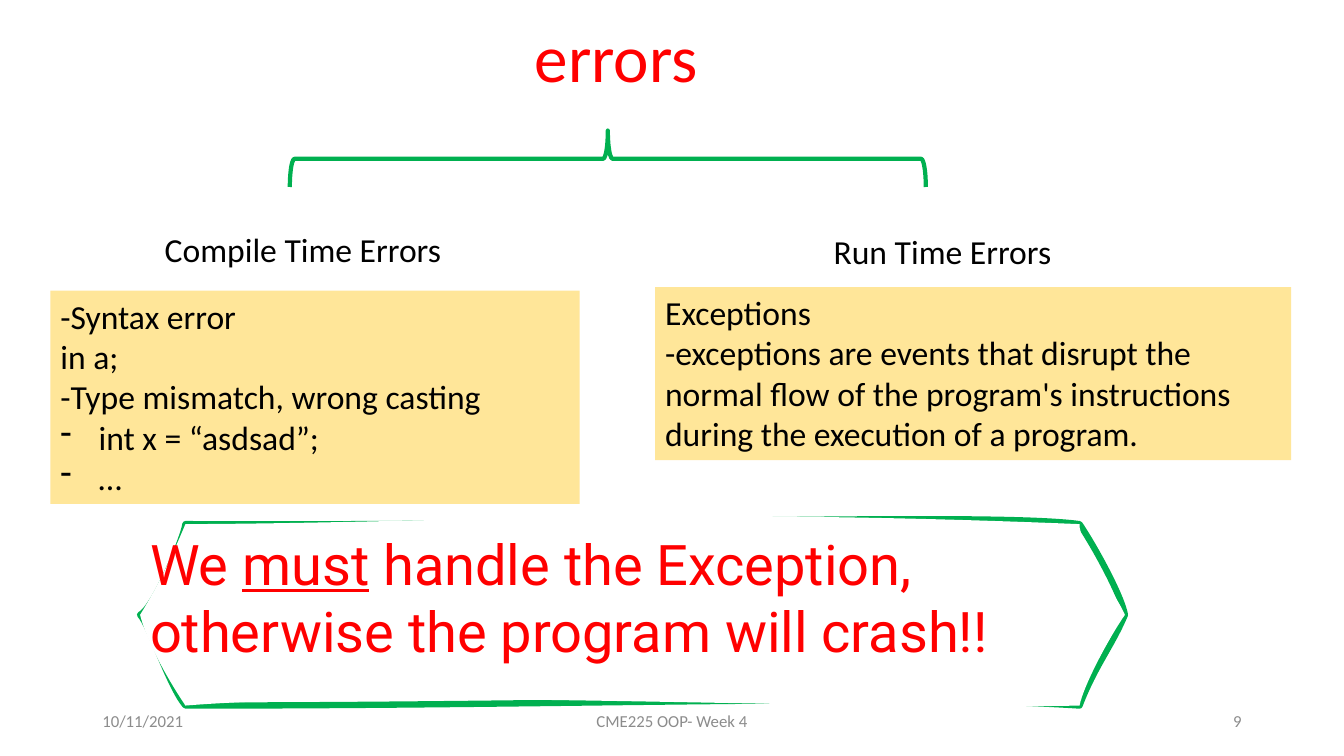
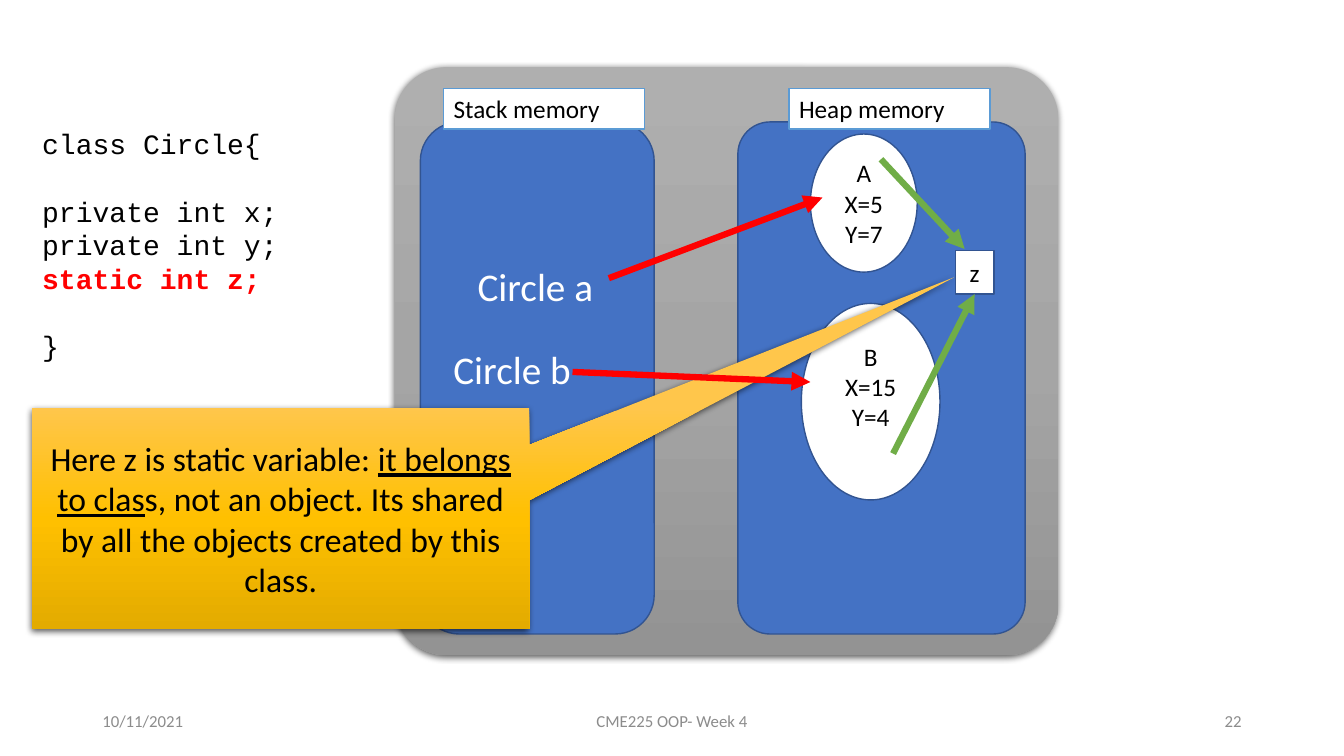
from copy import deepcopy

from lxml.etree import SubElement
from pptx import Presentation
from pptx.dml.color import RGBColor
from pptx.enum.shapes import MSO_CONNECTOR, MSO_SHAPE
from pptx.enum.text import MSO_ANCHOR, MSO_AUTO_SIZE, PP_ALIGN
from pptx.oxml.ns import qn
from pptx.util import Inches, Pt

LEFT, MID, RIGHT = PP_ALIGN.LEFT, PP_ALIGN.CENTER, PP_ALIGN.RIGHT
TOP, CORE = MSO_ANCHOR.TOP, MSO_ANCHOR.MIDDLE
RECT, ROUND, OVAL = MSO_SHAPE.RECTANGLE, MSO_SHAPE.ROUNDED_RECTANGLE, MSO_SHAPE.OVAL
BRACE, CALL = MSO_SHAPE.RIGHT_BRACE, MSO_SHAPE.RECTANGULAR_CALLOUT
STRAIGHT = MSO_CONNECTOR.STRAIGHT
NO_FIT = MSO_AUTO_SIZE.NONE

# The slide is a grid of 160 columns by 90 rows of square cells
COLS, ROWS = 160, 90
CELL = Inches(7.5) / ROWS

BLACK, WHITE, RED, GREEN = "000000", "FFFFFF", "FF0000", "00B050"
CREAM, BLUE, NAVY, SKY, LEAF = "FFE699", "4472C4", "325491", "5B9BD5", "70AD47"
GREY = "8C8C8C"
STEEL = ("AFAFAF", "A5A5A5", "939393")
GOLD = ("FFC64B", "FFC000", "E3AB00")
BODY, CODE, LOUD = "Calibri", "Courier New", "Roboto"

# Corners of the banner and the curve handles between them
CORNERS = [(16.68, 73.2), (22.08, 62.4), (128.52, 62.4),
           (133.92, 73.2), (128.52, 84), (22.08, 84)]
EDGE = [((18.36, 72.36), (21.84, 64.08)), ((71.76, 62.64), (117.84, 60.96)),
        ((130.44, 65.28), (133.56, 71.04)), ((132.36, 76.92), (130.32, 79.32)),
        ((106.44, 82.56), (71.04, 84)), ((20.16, 81.72), (17.88, 74.52))]
FACE = [((19.44, 68.76), (21, 64.92)), ((53.04, 62.28), (79.08, 60.36)),
        ((128.4, 64.56), (132.96, 70.92)), ((132, 75.96), (129, 81.6)),
        ((98.4, 84.6), (47.64, 81.96)), ((20.4, 81.48), (17.64, 76.92))]


def grid(*cells):
    return [round(n * CELL) for n in cells]


def rgb(code):
    return RGBColor.from_string(code)


def place(shape, box):
    shape.left, shape.top, shape.width, shape.height = grid(*box)


def inset(frame, inches):
    frame.margin_left = frame.margin_right = Inches(inches)
    frame.margin_top = frame.margin_bottom = Inches(inches)


def write(shape, lines, size, color=BLACK, font=BODY, align=LEFT, anchor=TOP,
          wrap=True):
    """Fill a shape with text; words between bars are underlined."""
    frame = shape.text_frame
    frame.text = "\n".join(lines)
    frame.word_wrap = wrap
    frame.vertical_anchor = anchor
    for para in frame.paragraphs:
        para.alignment = align
        para.text, *rest = para.text.split("|")
        for i, part in enumerate(rest):
            run = para.add_run()
            run.text = part
            run.font.underline = i % 2 == 0
        for run in para.runs:
            run.font.size = Pt(size)
            run.font.name = font
            run.font.color.rgb = rgb(color)
    return frame


def label(slide, box, lines, size, **look):
    return write(slide.shapes.add_textbox(*grid(*box)), lines, size, **look)


def paint(shape, fill=None, line=None, width=1):
    shape.shadow.inherit = False
    if fill:
        shape.fill.solid()
        shape.fill.fore_color.rgb = rgb(fill)
    else:
        shape.fill.background()
    if line:
        shape.line.color.rgb = rgb(line)
        shape.line.width = Pt(width)
    else:
        shape.line.fill.background()


def block(slide, kind, box, fill=None, line=None, width=1, adjust=()):
    shape = slide.shapes.add_shape(kind, *grid(*box))
    paint(shape, fill, line, width)
    for i, value in enumerate(adjust):
        shape.adjustments[i] = value
    return shape


def raised(slide, kind, box, shades, adjust):
    """A block with a three-step gradient and a soft shadow."""
    shape = block(slide, kind, box, adjust=adjust)
    shape.fill.gradient()
    shape.fill.gradient_angle = 270
    props = shape._element.spPr
    stops = props.find(".//" + qn("a:gsLst"))
    stops.insert(1, deepcopy(stops[0]))
    for i, stop in enumerate(shape.fill.gradient_stops):
        stop.position = i / 2
        stop.color.rgb = rgb(shades[i])
    glow = SubElement(props.find(qn("a:effectLst")), qn("a:outerShdw"),
                      blurRad=str(Pt(4.5)), dist=str(Pt(1.5)),
                      dir="5400000", algn="ctr", rotWithShape="0")
    tint = SubElement(glow, qn("a:srgbClr"), val=BLACK)
    SubElement(tint, qn("a:alpha"), val="63000")
    return shape


def arrow(slide, start, end, color, goal=None):
    """Draw an arrow; a goal joins it to the middle of that box's bottom."""
    link = slide.shapes.add_connector(STRAIGHT, *grid(*start, *end))
    if goal:
        link.end_connect(goal, 2)
    link.line.color.rgb = rgb(color)
    link.line.width = Pt(4.5)
    props = link._element.spPr
    SubElement(props.find(qn("a:ln")), qn("a:tailEnd"), type="triangle")
    SubElement(props, qn("a:effectLst"))


def outline(slide, dots):
    pen = slide.shapes.build_freeform(*grid(*dots[0]))
    pen.add_line_segments([grid(*dot) for dot in dots[1:]], close=True)
    return pen.convert_to_shape()


def panel(slide, box, words, size):
    """A bare outlined rectangle with one centred line of text."""
    x, y, w, h = box
    shape = outline(slide, [(x, y), (x + w, y), (x + w, y + h), (x, y + h)])
    paint(shape)
    frame = write(shape, [words], size, align=MID, anchor=CORE)
    frame.paragraphs[0].line_spacing = 0.9
    inset(frame, 0.01)


def bend(shape, bends, **flags):
    """Add a path of cubic curves through the corners to a freeform."""
    paths = shape._element.spPr.find(".//" + qn("a:pathLst"))
    trace = SubElement(paths, qn("a:path"), w=str(shape.width),
                       h=str(shape.height), **flags)

    def spot(step, dot):
        x, y = grid(*dot)
        SubElement(step, qn("a:pt"), x=str(x - shape.left), y=str(y - shape.top))

    spot(SubElement(trace, qn("a:moveTo")), CORNERS[0])
    for pair, end in zip(bends, CORNERS[1:] + CORNERS[:1]):
        step = SubElement(trace, qn("a:cubicBezTo"))
        for dot in (*pair, end):
            spot(step, dot)
    SubElement(trace, qn("a:close"))


def banner(slide):
    """A sketched sign: a stroked edge partly covered by a filled face."""
    shape = outline(slide, CORNERS)
    paths = shape._element.spPr.find(".//" + qn("a:pathLst"))
    paths.remove(paths[0])
    bend(shape, EDGE, fill="none")
    bend(shape, FACE, stroke="0")
    paint(shape, WHITE, GREEN, 4.5)
    return shape


def dash(para):
    props = para._p.get_or_add_pPr()
    props.set("marL", str(Inches(0.38)))
    props.set("indent", str(-Inches(0.38)))
    SubElement(props, qn("a:buFontTx"))
    SubElement(props, qn("a:buChar"), char="-")


def footer(slide, page):
    for left, width, words, align in ((11, 36, "10/11/2021", LEFT),
                                      (53, 54, "CME225 OOP- Week 4", MID),
                                      (113, 36, page, RIGHT)):
        label(slide, (left, 83.4, width, 4.8), [words], 12, color=GREY,
              align=align, anchor=CORE)


def errors(deck):
    slide = deck.slides.add_slide(deck.slide_layouts[5])
    footer(slide, "9")
    # Title
    title = slide.shapes.title
    place(title, (48.72, 1.62, 49.32, 11.22))
    paint(title, line=WHITE)
    frame = write(title, ["errors"], 48, RED, align=MID, anchor=CORE)
    frame.auto_size = NO_FIT
    frame.paragraphs[0].line_spacing = 0.9
    inset(frame, 0.03)

    # Two kinds of error
    panel(slide, (89.04, 24.24, 46.32, 12), "Run Time Errors", 24)
    panel(slide, (16.08, 24, 39.96, 12), "Compile Time Errors", 24)
    left = block(slide, RECT, (6, 34.6, 63, 25.4), CREAM)
    frame = write(left, ["-Syntax error", "in a;",
                         "-Type mismatch, wrong casting",
                         "int x = “asdsad”;", "…"], 24)
    for para in frame.paragraphs[3:]:
        dash(para)
    right = block(slide, RECT, (78, 34.18, 75.72, 20.6), CREAM)
    write(right, ["Exceptions",
                  "-exceptions are events that disrupt the normal flow of the "
                  "program's instructions during the execution of a program."],
          24)

    # Brace and banner
    brace = block(slide, BRACE, (69, -18.96, 6.72, 75.72), line=GREEN, width=3)
    brace.rotation = 270
    write(banner(slide), ["We |must| handle the Exception,",
                          "otherwise the program will crash!!"], 40, RED, LOUD,
          wrap=False)


def memory(deck):
    slide = deck.slides.add_slide(deck.slide_layouts[6])
    # Memory areas
    raised(slide, ROUND, (47, 8, 79, 70), STEEL, [0.088])
    block(slide, ROUND, (50.04, 14.52, 27.84, 60.96), BLUE, NAVY)
    footer(slide, "22")
    block(slide, ROUND, (87.84, 14.52, 34.2, 60.96), BLUE, NAVY, adjust=[0.112])

    # Objects on the heap
    for box, lines, gap in (
            ((95.4, 36.12, 16.5, 23.4), ["B", "X=15", "Y=4"], 0.35),
            ((96.48, 15.96, 12.72, 16.44), ["A", "X=5", "Y=7"], 0.05)):
        item = block(slide, OVAL, box, WHITE, NAVY)
        frame = write(item, lines, 18, align=MID, anchor=CORE)
        frame.margin_bottom = Inches(gap)

    # Class code
    code = label(slide, (3.84, 14.52, 39.84, 29.52),
                 ["class Circle{", "private int x;", "private int y;",
                  "static int z;", "}"], 20, font=CODE)
    for i in (1, 4):
        code.paragraphs[i].space_before = Pt(24)
    font = code.paragraphs[3].runs[0].font
    font.bold = True
    font.color.rgb = rgb(RED)

    # Names on the stack
    for x, y, name in ((55.68, 30.6, "Circle a"), (52.8, 40.56, "Circle b")):
        label(slide, (x, y, 16.44, 6.84), [name], 28, color=WHITE, wrap=False)

    # Shared variable
    arrow(slide, (104.88, 18.96), (114.84, 29.64), LEAF)
    shared = block(slide, RECT, (113.72, 29.86, 4.6, 5.16), WHITE, NAVY)
    write(shared, ["z"], 18, align=MID, anchor=CORE)
    arrow(slide, (106.32, 54), (116.02, 35.02), LEAF, shared)

    # Area labels
    for x, name in ((93.94, "Heap memory"), (52.82, "Stack memory")):
        tag = block(slide, RECT, (x, 10.52, 23.9, 4.84), WHITE, SKY)
        write(tag, [name], 18)

    # Callout and references
    note = raised(slide, CALL, (3.84, 48.6, 59.16, 26.28), GOLD,
                  [1.356, -1.094])
    write(note, ["Here z is static variable: |it belongs to clas|s, not an "
                 "object. Its shared by all the objects created by this "
                 "class."], 24, align=MID, anchor=CORE)
    arrow(slide, (68.16, 44.28), (96.48, 45.48), RED)
    arrow(slide, (72.48, 33.12), (97.92, 23.52), RED)


def main():
    deck = Presentation()
    deck.slide_width, deck.slide_height = grid(COLS, ROWS)
    errors(deck)
    memory(deck)
    deck.save("out.pptx")


if __name__ == "__main__":
    main()
